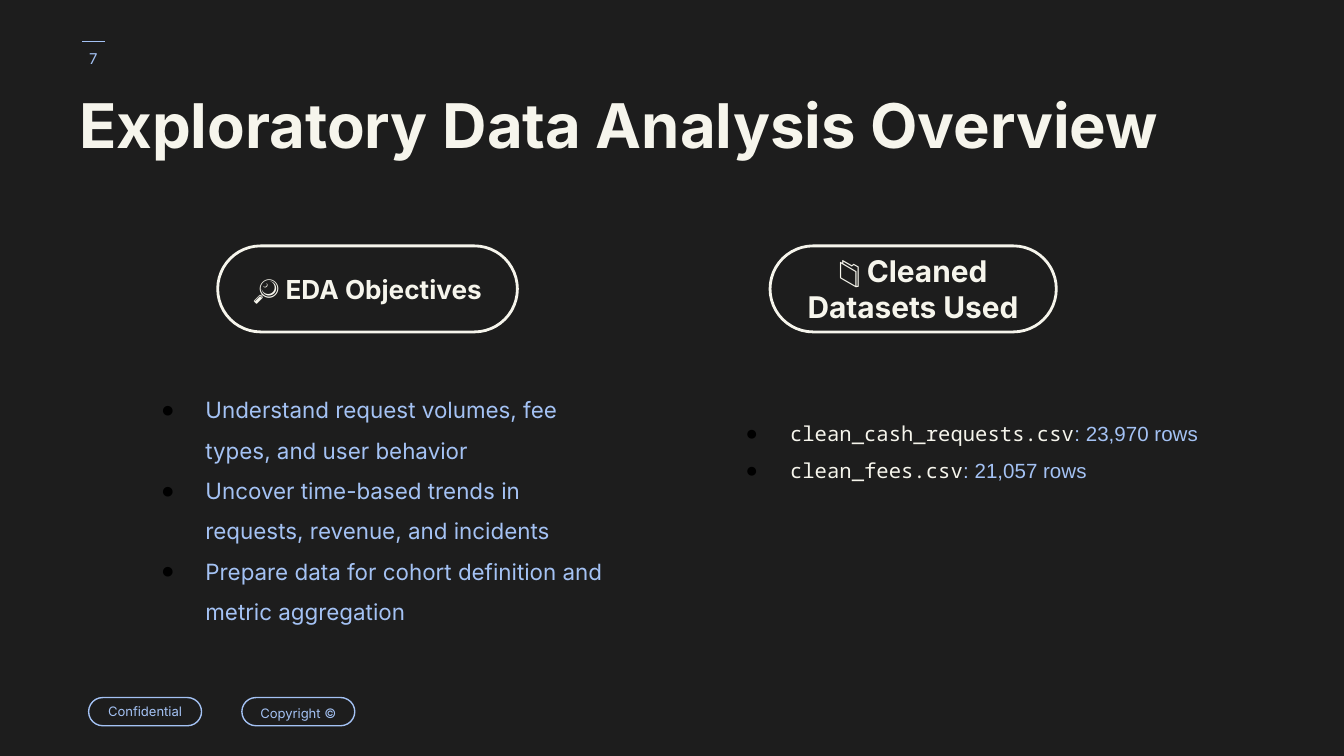
import dataclasses

import pptx
import pptx.dml.color
import pptx.enum.shapes
import pptx.enum.text
import pptx.oxml.ns
import pptx.util
from lxml import etree

Inches = pptx.util.Inches
Pt = pptx.util.Pt
RGB = pptx.dml.color.RGBColor
PP_ALIGN = pptx.enum.text.PP_ALIGN
ANCHOR = pptx.enum.text.MSO_ANCHOR
qn = pptx.oxml.ns.qn


@dataclasses.dataclass(frozen=True)
class Theme:
    background: str = "1D1D1D"
    cream: str = "F6F5EC"
    blue: str = "A4C2F4"
    bullet: str = "000000"
    sans: str = "Inter"
    plain: str = "Arial"
    mono: str = "Noto Sans Mono"
    title: int = 33
    heading: int = 14
    heading_large: int = 16
    body: int = 12
    data: int = 11
    number: int = 8
    tag: int = 7
    inset: float = 0.1


THEME = Theme()


def style(r, size, color, font=THEME.sans, bold=False):
    r.font.size = Pt(size)
    r.font.name = font
    r.font.bold = bold
    r.font.color.rgb = RGB.from_string(color)


def set_frame(sp, anchor):
    tf = sp.text_frame
    tf.word_wrap = True
    tf.vertical_anchor = anchor
    tf.margin_left = tf.margin_right = Inches(THEME.inset)
    tf.margin_top = tf.margin_bottom = Inches(THEME.inset)
    return tf


def add_text(s, box, anchor=ANCHOR.TOP):
    return set_frame(s.shapes.add_textbox(*map(Inches, box)), anchor)


def add_line(s, x1, x2, y, color, width):
    line = s.shapes.add_connector(
        pptx.enum.shapes.MSO_CONNECTOR.STRAIGHT,
        Inches(x1), Inches(y), Inches(x2), Inches(y))
    line.line.color.rgb = RGB.from_string(color)
    line.line.width = Pt(width)
    etree.SubElement(line._element.spPr, qn("a:effectLst"))


def add_pill(s, box, text, size, color, width, bold=False, spacing=1.0):
    sp = s.shapes.add_shape(
        pptx.enum.shapes.MSO_SHAPE.ROUNDED_RECTANGLE, *map(Inches, box))
    sp.adjustments[0] = 0.5
    sp.shadow.inherit = False
    sp.fill.background()
    sp.line.color.rgb = RGB.from_string(color)
    sp.line.width = Pt(width)
    tf = set_frame(sp, ANCHOR.MIDDLE)
    tf.text = text
    p = tf.paragraphs[0]
    p.alignment = PP_ALIGN.CENTER
    p.line_spacing = spacing
    style(p.runs[0], size, color, bold=bold)


def add_bullet(p, font):
    p.line_spacing = 1.5
    pPr = p._p.get_or_add_pPr()
    pPr.set("marL", str(Inches(0.5)))
    pPr.set("indent", str(Inches(-0.33)))
    clr = etree.SubElement(pPr, qn("a:buClr"))
    etree.SubElement(clr, qn("a:srgbClr"), val=THEME.bullet)
    etree.SubElement(pPr, qn("a:buFont"), typeface=font)
    etree.SubElement(pPr, qn("a:buChar"), char="●")


def add_bullets(s, box, size, items):
    tf = add_text(s, box)
    for i, item in enumerate(items):
        p = tf.add_paragraph() if i else tf.paragraphs[0]
        add_bullet(p, THEME.plain)
        for text, font, color in item:
            r = p.add_run()
            r.text = text
            style(r, size, color, font)


def add_page_number(s, box, number):
    x, y, w, h = box
    tf = add_text(s, box, ANCHOR.MIDDLE)
    tf.text = number
    p = tf.paragraphs[0]
    p.alignment = PP_ALIGN.CENTER
    style(p.runs[0], THEME.number, THEME.blue)
    add_line(s, x + 0.32, x + 0.15, y + 0.09, THEME.blue, 0.75)


def add_title(s, box, text):
    tf = add_text(s, box)
    tf.text = text
    p = tf.paragraphs[0]
    p.line_spacing = 0.8
    style(p.runs[0], THEME.title, THEME.cream, bold=True)


def add_footer(s, box):
    x, y, w, h = box
    tag_w = 0.84
    for left, text, spacing in ((x, "Confidential", 1.0),
                                (x + w - tag_w, "Copyright ©", 1.15)):
        add_pill(s, (left, y, tag_w, h), text, THEME.tag, THEME.blue, 0.75,
                 spacing=spacing)


def add_objectives(s, box):
    x, y, w, h = box
    add_pill(s, (x + 0.69, y, 2.23, 0.64), "🔎 EDA Objectives",
             THEME.heading, THEME.cream, 1.5, bold=True)
    goals = ("Understand request volumes, fee types, and user behavior",
             "Uncover time-based trends in requests, revenue, and incidents",
             "Prepare data for cohort definition and metric aggregation")
    add_bullets(s, (x, y + 0.92, w, h - 0.92), THEME.body,
                [[(goal, THEME.sans, THEME.blue)] for goal in goals])


def add_datasets(s, box):
    x, y, w, h = box
    add_pill(s, (x + 0.45, y, 2.13, 0.64), "📁 Cleaned Datasets Used",
             THEME.heading_large, THEME.cream, 1.5, bold=True)
    files = (("clean_cash_requests.csv", "23,970"),
             ("clean_fees.csv", "21,057"))
    add_bullets(s, (x, y + 1.11, w, h - 1.11), THEME.data,
                [[(name, THEME.mono, THEME.cream),
                  (f": {rows} rows", THEME.plain, THEME.blue)]
                 for name, rows in files])


def main():
    prs = pptx.Presentation()
    prs.slide_width = Inches(10)
    prs.slide_height = prs.slide_width * 9 // 16
    s = prs.slides.add_slide(prs.slide_layouts[6])
    s.background.fill.solid()
    s.background.fill.fore_color.rgb = RGB.from_string(THEME.background)
    add_page_number(s, (0.46, 0.22, 0.47, 0.43), "7")
    add_footer(s, (0.66, 5.19, 1.98, 0.21))
    add_title(s, (0.49, 0.65, 8.47, 0.91), "Exploratory Data Analysis Overview")
    add_objectives(s, (0.93, 1.83, 3.72, 2.77))
    add_datasets(s, (5.28, 1.83, 4.02, 3.04))
    prs.save("out.pptx")


if __name__ == "__main__":
    main()
